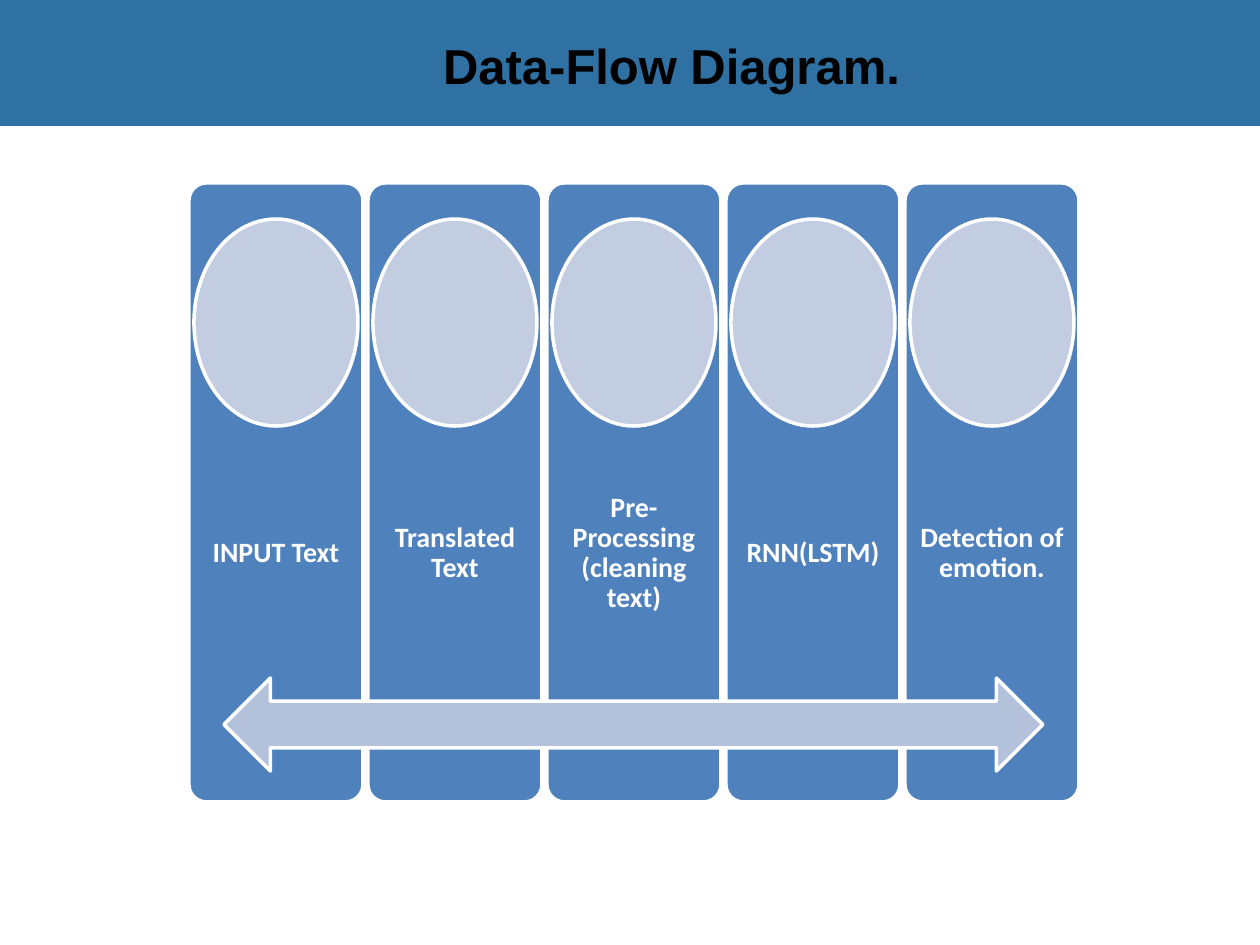
import dataclasses

import pptx
import pptx.dml.color
import pptx.enum.shapes
import pptx.enum.text
import pptx.util

SHAPE = pptx.enum.shapes.MSO_SHAPE
ANCHOR = pptx.enum.text.MSO_ANCHOR
EMU_PER_PX = 914400 / 126


@dataclasses.dataclass(frozen=True)
class Theme:
    banner: str = "2F71A2"
    column: str = "4F81BD"
    ellipse: str = "C2CDE1"
    arrow: str = "B3C1DB"
    white: str = "FFFFFF"
    black: str = "000000"
    title_font: str = "Arial"
    label_font: str = "Calibri"
    title_size: int = 28
    label_size: int = 16
    line_width: int = 2


def px(n):
    return pptx.util.Emu(round(n * EMU_PER_PX))


def rgb(color):
    return pptx.dml.color.RGBColor.from_string(color)


def write(tf, text, *, font, size, color, anchor, inset=0, spacing=1.0):
    tf.word_wrap = True
    tf.auto_size = pptx.enum.text.MSO_AUTO_SIZE.NONE
    tf.vertical_anchor = anchor
    tf.margin_left = tf.margin_right = px(inset)
    tf.margin_top = tf.margin_bottom = px(inset)
    p = tf.paragraphs[0]
    p.alignment = pptx.enum.text.PP_ALIGN.CENTER
    p.line_spacing = spacing
    p.space_before = pptx.util.Pt(0)
    r = p.add_run()
    r.text = text
    r.font.name = font
    r.font.size = pptx.util.Pt(size)
    r.font.bold = True
    r.font.color.rgb = rgb(color)


class SlideBuilder:
    def __init__(self, slide, theme):
        self.slide = slide
        self.theme = theme

    def shape(self, kind, x, y, w, h, fill, outlined=True):
        sp = self.slide.shapes.add_shape(kind, px(x), px(y), px(w), px(h))
        sp.shadow.inherit = False
        sp.fill.solid()
        sp.fill.fore_color.rgb = rgb(fill)
        if outlined:
            sp.line.color.rgb = rgb(self.theme.white)
            sp.line.width = pptx.util.Pt(self.theme.line_width)
        else:
            sp.line.fill.background()
        return sp

    def banner(self, w, h):
        sp = self.shape(SHAPE.RECTANGLE, 0, 0, w, h, self.theme.banner, outlined=False)
        self.slide.shapes.title._element.addprevious(sp._element)

    def title(self, text, x, y, w, h):
        sp = self.slide.shapes.title
        sp.left, sp.top, sp.width, sp.height = px(x), px(y), px(w), px(h)
        write(sp.text_frame, text, font=self.theme.title_font,
              size=self.theme.title_size, color=self.theme.black, anchor=ANCHOR.TOP)

    def label(self, text, x, y, w, h):
        sp = self.slide.shapes.add_textbox(px(x), px(y), px(w), px(h))
        write(sp.text_frame, text, font=self.theme.label_font,
              size=self.theme.label_size, color=self.theme.white,
              anchor=ANCHOR.MIDDLE, inset=15, spacing=0.9)

    def column(self, text, x, y, w, h):
        sp = self.shape(SHAPE.ROUNDED_RECTANGLE, x, y, w, h, self.theme.column)
        sp.adjustments[0] = 0.1
        self.label(text, x, y + 247, w, 247)
        self.shape(SHAPE.OVAL, x + 5, y + 36, w - 10, 207, self.theme.ellipse)

    def arrow(self, x, y, w, h):
        self.shape(SHAPE.LEFT_RIGHT_ARROW, x, y, w, h, self.theme.arrow)


def main():
    prs = pptx.Presentation()
    prs.slide_width, prs.slide_height = px(1260), px(945)
    s = SlideBuilder(prs.slides.add_slide(prs.slide_layouts[5]), Theme())

    s.banner(1260, 126)
    s.title("Data-Flow Diagram.", 136, 35, 1071, 59)

    steps = ["INPUT Text", "Translated Text", "Pre-Processing (cleaning text)",
             "RNN(LSTM)", "Detection of emotion."]
    left, width, pitch = 189, 174, 179
    for i, step in enumerate(steps):
        s.column(step, left + i * pitch, 183, width, 619)
    s.arrow(224, 678, 819, 93)

    prs.save("out.pptx")


if __name__ == "__main__":
    main()
